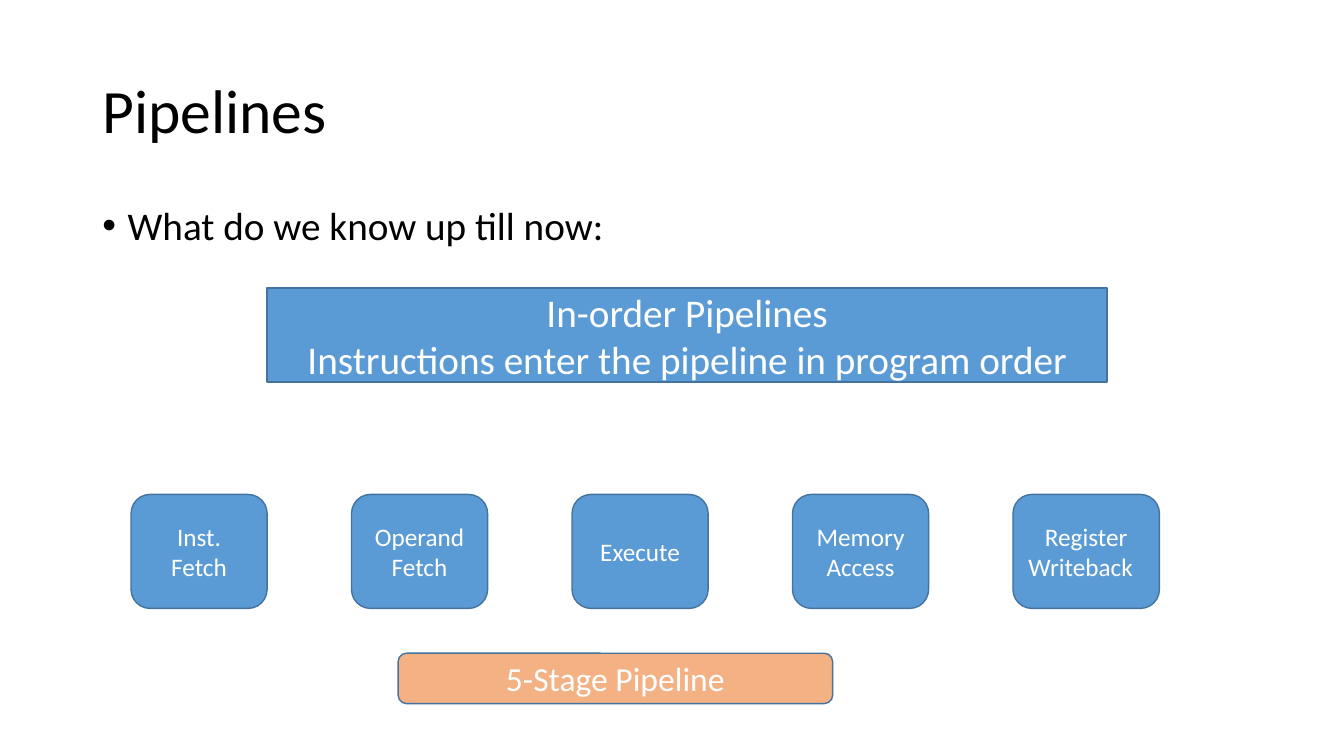
from lxml import etree
from pptx import Presentation
from pptx import util as u
from pptx.dml.color import RGBColor
from pptx.enum import shapes, text
from pptx.oxml.ns import qn

BLACK = RGBColor(0x00, 0x00, 0x00)
WHITE = RGBColor(0xFF, 0xFF, 0xFF)
BLUE = RGBColor(0x5B, 0x9B, 0xD5)
DARK_BLUE = RGBColor(0x43, 0x73, 0x9E)
ORANGE = RGBColor(0xF4, 0xB1, 0x83)
RECTANGLE = shapes.MSO_SHAPE.RECTANGLE
ROUNDED = shapes.MSO_SHAPE.ROUNDED_RECTANGLE


def write(shape, words, size, color, alignment, anchor):
    frame = shape.text_frame
    frame.text = words
    frame.word_wrap = True
    frame.auto_size = text.MSO_AUTO_SIZE.NONE
    frame.vertical_anchor = anchor
    for paragraph in frame.paragraphs:
        paragraph.alignment = alignment
        for run in paragraph.runs:
            run.font.name = "Calibri"
            run.font.size = u.Pt(size)
            run.font.color.rgb = color


def add_box(kind, left, top, width, height, fill, words, size):
    shape = slide.shapes.add_shape(kind, u.Pt(left), u.Pt(top), u.Pt(width), u.Pt(height))
    shape.shadow.inherit = False
    shape.fill.solid()
    shape.fill.fore_color.rgb = fill
    shape.line.color.rgb = DARK_BLUE
    shape.line.width = u.Pt(1)
    write(shape, words, size, WHITE, text.PP_ALIGN.CENTER, text.MSO_ANCHOR.MIDDLE)


presentation = Presentation()
presentation.slide_width = u.Pt(960)
presentation.slide_height = u.Pt(540)
slide = presentation.slides.add_slide(presentation.slide_layouts[1])

# Title
title = slide.shapes.title
title.left, title.top, title.width, title.height = u.Pt(66), u.Pt(28.75), u.Pt(828), u.Pt(104.4)
write(title, "Pipelines", 44, BLACK, text.PP_ALIGN.LEFT, text.MSO_ANCHOR.MIDDLE)
title.text_frame.paragraphs[0].line_spacing = 0.9

# Bulleted question
body = slide.placeholders[1]
body.left, body.top, body.width, body.height = u.Pt(66), u.Pt(143.75), u.Pt(828), u.Pt(41)
write(body, "What do we know up till now:", 28, BLACK, text.PP_ALIGN.LEFT, text.MSO_ANCHOR.TOP)
paragraph = body.text_frame.paragraphs[0]
paragraph.line_spacing = 0.9
paragraph.space_before = u.Pt(0)
properties = paragraph._p.get_or_add_pPr()
properties.set("marL", str(u.Pt(18)))
properties.set("indent", str(-u.Pt(18)))
etree.SubElement(properties, qn("a:buFont")).set("typeface", "Arial")
etree.SubElement(properties, qn("a:buChar")).set("char", "•")

# Definition banner
add_box(RECTANGLE, 190.8, 205.7, 600, 67.2, BLUE,
        "In-order Pipelines\nInstructions enter the pipeline in program order", 28)

# Pipeline stages: equal pitch, the last one slightly wider
stages = [
    ("Inst. Fetch", 97.2),
    ("Operand Fetch", 97.2),
    ("Execute", 97.2),
    ("Memory\nAccess", 97.2),
    ("Register\nWriteback\t", 104.6),
]
for index, (name, width) in enumerate(stages):
    add_box(ROUNDED, 93.6 + 157.5 * index, 353.2, width, 81.4, BLUE, name, 18)

# Caption under the stages
add_box(ROUNDED, 284.4, 466.6, 310.4, 36, ORANGE, "5-Stage Pipeline", 24)

presentation.save("out.pptx")
